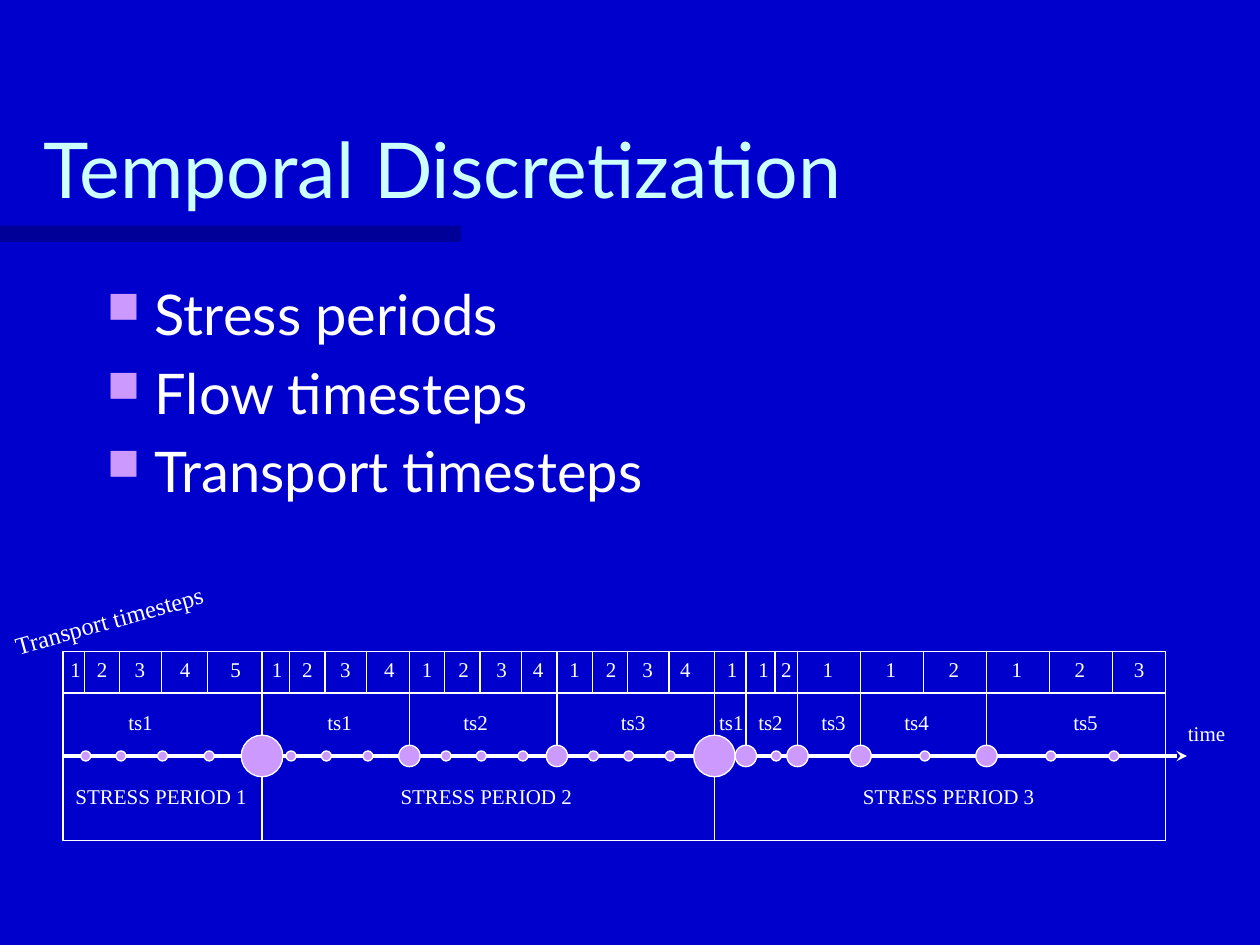
"""Builds a slide on temporal discretization with a nested time line."""
from lxml import etree
from pptx import Presentation
from pptx.dml.color import RGBColor
from pptx.enum.shapes import MSO_CONNECTOR, MSO_SHAPE
from pptx.enum.text import MSO_ANCHOR, MSO_AUTO_SIZE, PP_ALIGN
from pptx.oxml.ns import qn
from pptx.util import Inches, Pt

RECT, OVAL = MSO_SHAPE.RECTANGLE, MSO_SHAPE.OVAL
STRAIGHT = MSO_CONNECTOR.STRAIGHT
TOP, BOTTOM = MSO_ANCHOR.TOP, MSO_ANCHOR.BOTTOM
LEFT, CENTER = PP_ALIGN.LEFT, PP_ALIGN.CENTER
GROW, FIXED = MSO_AUTO_SIZE.SHAPE_TO_FIT_TEXT, MSO_AUTO_SIZE.NONE

COLORS = {"back": "0000CC", "bar": "000066", "title": "CCFFFF",
          "text": "FFFFFF", "dot": "CC99FF"}
SANS, SERIF = "Lato", "Times New Roman"

TITLE = "Temporal Discretization"
BULLETS = ["Stress periods", "Flow timesteps", "Transport timesteps"]

# Each period: name, label left, flow steps.
# Each flow step: name, label left, transport steps as (start, label left).
PERIODS = [
    ("STRESS PERIOD 1", 0.5, [
        ("ts1", 0.92, [(0.5, 0.46), (0.67, 0.67), (0.95, 0.97),
                       (1.28, 1.33), (1.65, 1.73)])]),
    ("STRESS PERIOD 2", 3.08, [
        ("ts1", 2.5, [(2.08, 2.06), (2.3, 2.3), (2.58, 2.6), (2.91, 2.95)]),
        ("ts2", 3.58, [(3.25, 3.25), (3.53, 3.54), (3.81, 3.84), (4.14, 4.13)]),
        ("ts3", 4.83, [(4.42, 4.42), (4.7, 4.71), (4.98, 5), (5.31, 5.3)])]),
    ("STRESS PERIOD 3", 6.75, [
        ("ts1", 5.61, [(5.67, 5.67)]),
        ("ts2", 5.92, [(5.92, 5.92), (6.15, 6.1)]),
        ("ts3", 6.42, [(6.33, 6.43)]),
        ("ts4", 7.08, [(6.83, 6.93), (7.33, 7.43)]),
        ("ts5", 8.42, [(7.83, 7.93), (8.33, 8.43), (8.83, 8.9)])]),
]
END = 9.25
ROWS = {"cell": (5.17, 0.33), "flow": (5.5, 0.5), "period": (6, 0.67)}
AXIS = 6

prs = Presentation()
prs.slide_width, prs.slide_height = Inches(10), Inches(7.5)
slide = prs.slides.add_slide(prs.slide_layouts[6])


def rgb(name):
    return RGBColor.from_string(COLORS[name])


def add_text(lines, x, y, w, h, size=12, font=SERIF, color="text", align=LEFT,
             anchor=TOP, wrap=False, turn=0, before=0):
    box = slide.shapes.add_textbox(*map(Inches, (x, y, w, h)))
    box.rotation = turn
    frame = box.text_frame
    frame.word_wrap, frame.vertical_anchor = wrap, anchor
    frame.auto_size = FIXED if wrap else GROW
    frame.text = "\n".join(lines)
    for para in frame.paragraphs:
        para.alignment, para.space_before = align, Pt(before)
        face = para.runs[0].font
        face.size, face.name = Pt(size), font
        face.color.rgb = rgb(color)
    return box


def add_part(kind, x, y, w, h, fill=None, line="text"):
    part = slide.shapes.add_shape(kind, *map(Inches, (x, y, w, h)))
    part.shadow.inherit = False
    if fill:
        part.fill.solid()
        part.fill.fore_color.rgb = rgb(fill)
    else:
        part.fill.background()
    if line:
        part.line.color.rgb, part.line.width = rgb(line), Pt(0.75)
    else:
        part.line.fill.background()
    return part


def add_dot(mid, size):
    add_part(OVAL, mid - size / 2, AXIS - size / 2, size, size, "dot")


def add_row(row, starts):
    top, high = ROWS[row]
    for x, stop in zip(starts, starts[1:] + [END]):
        add_part(RECT, x, top, stop - x, high)


def add_bullet(para):
    props = para._p.get_or_add_pPr()
    props.set("marL", str(Inches(0.38)))
    props.set("indent", str(-Inches(0.38)))
    tint = etree.SubElement(props, qn("a:buClr"))
    etree.SubElement(tint, qn("a:srgbClr"), val=COLORS["dot"])
    etree.SubElement(props, qn("a:buSzPct"), val="80000")
    etree.SubElement(props, qn("a:buChar"), char="■")


def add_axis():
    axis = slide.shapes.add_connector(
        STRAIGHT, *map(Inches, (0.5, AXIS, 9.42, AXIS)))
    axis.line.color.rgb, axis.line.width = rgb("text"), Pt(2)
    etree.SubElement(axis.line._get_or_add_ln(), qn("a:tailEnd"), type="stealth")
    etree.SubElement(axis._element.spPr, qn("a:effectLst"))


slide.background.fill.solid()
slide.background.fill.fore_color.rgb = rgb("back")
bar = add_part(RECT, 0, 1.79, 3.66, 0.13, "bar", None)
shade = bar._element.spPr.find(".//" + qn("a:srgbClr"))
etree.SubElement(shade, qn("a:alpha"), val="50000")

add_text([TITLE], 0.25, 0.5, 8.5, 1.25, size=44, font=SANS, color="title",
         anchor=BOTTOM, wrap=True)
body = add_text(BULLETS, 0.75, 2.17, 8.5, 4.5, size=32, font=SANS, wrap=True,
                before=6.4)
for para in body.text_frame.paragraphs:
    add_bullet(para)

flows = [flow for period in PERIODS for flow in period[2]]
cells = [cell for flow in flows for cell in flow[2]]
bounds = [period[2][0][2][0][0] for period in PERIODS]
steps = [flow[2][0][0] for flow in flows]
starts = [cell[0] for cell in cells]

add_row("period", bounds)
add_row("flow", steps)
add_row("cell", starts)
add_axis()
for x in starts[1:]:
    if x in bounds:
        add_dot(x, 0.33)
    elif x in steps:
        add_dot(x, 0.17)
    else:
        add_dot(x + 0.01, 0.08)

for name, x, _ in PERIODS:
    add_text([name], x, 6.17, 1.56, 0.3, align=CENTER)
for name, x, group in flows:
    add_text([name], x, 5.58, 0.4, 0.3)
    for num, (_, left) in enumerate(group, 1):
        add_text([str(num)], left, 5.16, 0.28, 0.3)
add_text(["time"], 9.33, 5.67, 0.5, 0.3)
add_text(["Transport timesteps"], 0, 4.75, 1.75, 0.34, size=14, turn=344.5)

prs.save("out.pptx")
